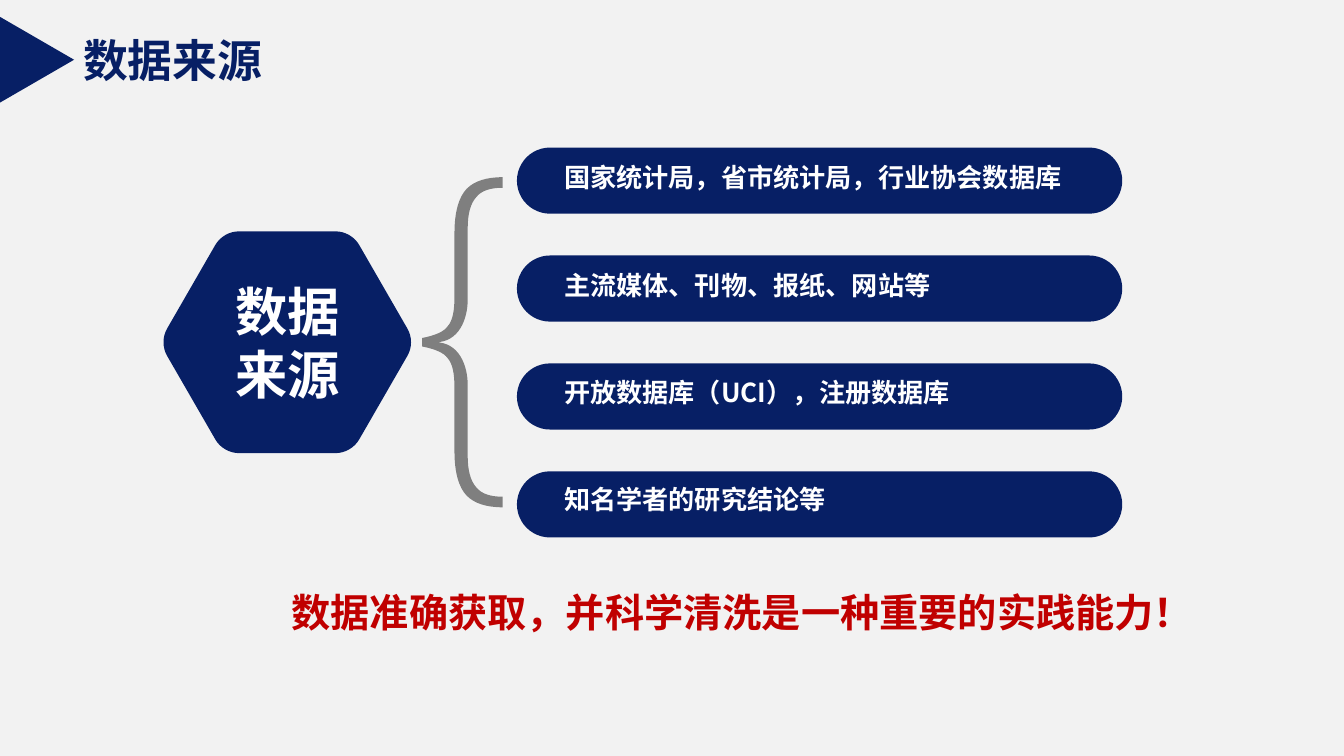
from math import cos, pi, sin

from pptx import Presentation
from pptx.dml.color import RGBColor
from pptx.enum.shapes import MSO_SHAPE as Shape
from pptx.enum.text import MSO_AUTO_SIZE as AutoSize, PP_ALIGN as Align
from pptx.oxml.ns import qn
from pptx.util import Cm, Pt

NAVY, GRAY, RED = "071F65", "7F7F7F", "C00000"
WHITE, PALE = "FFFFFF", "F2F2F2"
CJK = "Noto Sans CJK SC"
SOURCES = [
    "国家统计局，省市统计局，行业协会数据库",
    "主流媒体、刊物、报纸、网站等",
    "开放数据库（UCI），注册数据库",
    "知名学者的研究结论等",
]


def rgb(value):
    return RGBColor.from_string(value)


def paint(sp, color):
    sp.shadow.inherit = False
    sp.fill.solid()
    sp.fill.fore_color.rgb = rgb(color)
    sp.line.fill.background()


def add_preset(s, kind, box, color):
    sp = s.shapes.add_shape(kind, *map(Cm, box))
    sp.adjustments[0] = 0.5
    paint(sp, color)
    return sp


def add_text(s, text, box, size, color, font=CJK, align=None, spacing=None,
             wrap=True, inset=(0, 0)):
    sp = s.shapes.add_textbox(*map(Cm, box))
    tf = sp.text_frame
    tf.word_wrap = wrap
    tf.auto_size = AutoSize.SHAPE_TO_FIT_TEXT
    tf.margin_left = tf.margin_right = Cm(inset[0])
    tf.margin_top = tf.margin_bottom = Cm(inset[1])
    p = tf.paragraphs[0]
    p.text = text
    p.alignment = align
    p.line_spacing = spacing
    p.font.size = Pt(size)
    p.font.bold = True
    p.font.color.rgb = rgb(color)
    p.font.name = font
    properties = p.font._element
    properties.append(properties.makeelement(qn("a:ea"), {"typeface": CJK}))


def add_outline(s, start, segments, color):
    """Closed outline; a segment has one point (line) or three (cubic curve)."""
    points = [(Cm(x), Cm(y)) for segment in segments for x, y in segment]
    builder = s.shapes.build_freeform(Cm(start[0]), Cm(start[1]))
    builder.add_line_segments(points, close=True)
    sp = builder.convert_to_shape()
    path = sp._element.find(".//" + qn("a:path"))
    lines = iter(path.findall(qn("a:lnTo")))
    for segment in segments:
        first, *others = [next(lines) for _ in segment]
        if others:
            first.tag = qn("a:cubicBezTo")
        for line in others:
            first.append(line[0])
            path.remove(line)
    paint(sp, color)


def add_rounded_hexagon(s, cx, cy, radius, cut, color):
    corners = [(cx + radius * cos(k * pi / 3), cy + radius * sin(k * pi / 3))
               for k in range(6)]

    def between(a, b, share):
        return tuple(u + (v - u) * share for u, v in zip(a, b))

    segments = []
    for k, corner in enumerate(corners):
        start = between(corner, corners[k - 1], cut / radius)
        end = between(corner, corners[(k + 1) % 6], cut / radius)
        middle = between(corner, (cx, cy), 0.27 * cut / radius)
        reach = [0.18 * (b - a) for a, b in zip(start, end)]
        before = tuple(m - d for m, d in zip(middle, reach))
        after = tuple(m + d for m, d in zip(middle, reach))
        segments += [
            [start],
            [between(start, corner, 0.3), before, middle],
            [after, between(end, corner, 0.3), end],
        ]
    add_outline(s, segments[-1][-1], segments, color)


def add_brace(s, left, middle, color):
    """Left brace: its upper half, then the same half mirrored."""
    half = [
        [(0, 0.08)],
        [(0.25, 0.13), (0.41, 0.2), (0.48, 0.3)],
        [(0.58, 0.41), (0.61, 0.61), (0.61, 0.86)],
        [(0.61, 2.06)],
        [(0.61, 2.46), (0.69, 2.74), (0.84, 2.9)],
        [(0.99, 3.05), (1.22, 3.12), (1.52, 3.12)],
        [(1.52, 2.92)],
        [(1.3, 2.92), (1.12, 2.87), (1.02, 2.74)],
        [(0.91, 2.62), (0.86, 2.41), (0.86, 2.16)],
        [(0.86, 0.81)],
        [(0.86, 0.43), (0.69, 0), (0.25, 0)],
    ]
    upper = [[(left + x, middle - y) for x, y in segment] for segment in half]
    points = iter([(left + x, middle + y)
                   for segment in reversed(half) for x, y in reversed(segment)][1:])
    lower = [[next(points) for _ in segment] for segment in reversed(half[1:])]
    add_outline(s, upper[0][0], upper[1:] + lower, color)


def add_source(s, row, text):
    add_preset(s, Shape.ROUNDED_RECTANGLE, (9.77, 2.79 + row * 2.04, 11.44, 1.25), NAVY)
    add_text(s, text, (10.66, 3.19 + row * 2.03, 9.6, 0.46), 14, WHITE,
             align=Align.JUSTIFY, spacing=Pt(13))


def main():
    prs = Presentation()
    prs.slide_width, prs.slide_height = Cm(25.4), Cm(14.29)
    s = prs.slides.add_slide(prs.slide_layouts[6])
    s.background.fill.solid()
    s.background.fill.fore_color.rgb = rgb(PALE)

    add_text(s, "数据来源", (1.32, 0.48, 3.94, 1.27), 24, NAVY, font="Arial",
             wrap=False, inset=(0.25, 0.13))
    pointer = add_preset(s, Shape.ISOSCELES_TRIANGLE, (-0.11, 0.43, 1.62, 1.4), NAVY)
    pointer.rotation = 90

    add_rounded_hexagon(s, 5.43, 6.47, 2.42, 0.3, NAVY)
    add_text(s, "数据来源", (4.18, 5.28, 2.51, 2.39), 28, WHITE, align=Align.CENTER)
    add_brace(s, 7.98, 6.47, GRAY)
    for row, text in enumerate(SOURCES):
        add_source(s, row, text)

    add_text(s, "数据准确获取，并科学清洗是一种重要的实践能力！",
             (5.26, 11, 17.83, 1.14), 21, RED, wrap=False, inset=(0.25, 0.13))
    prs.save("out.pptx")


if __name__ == "__main__":
    main()
